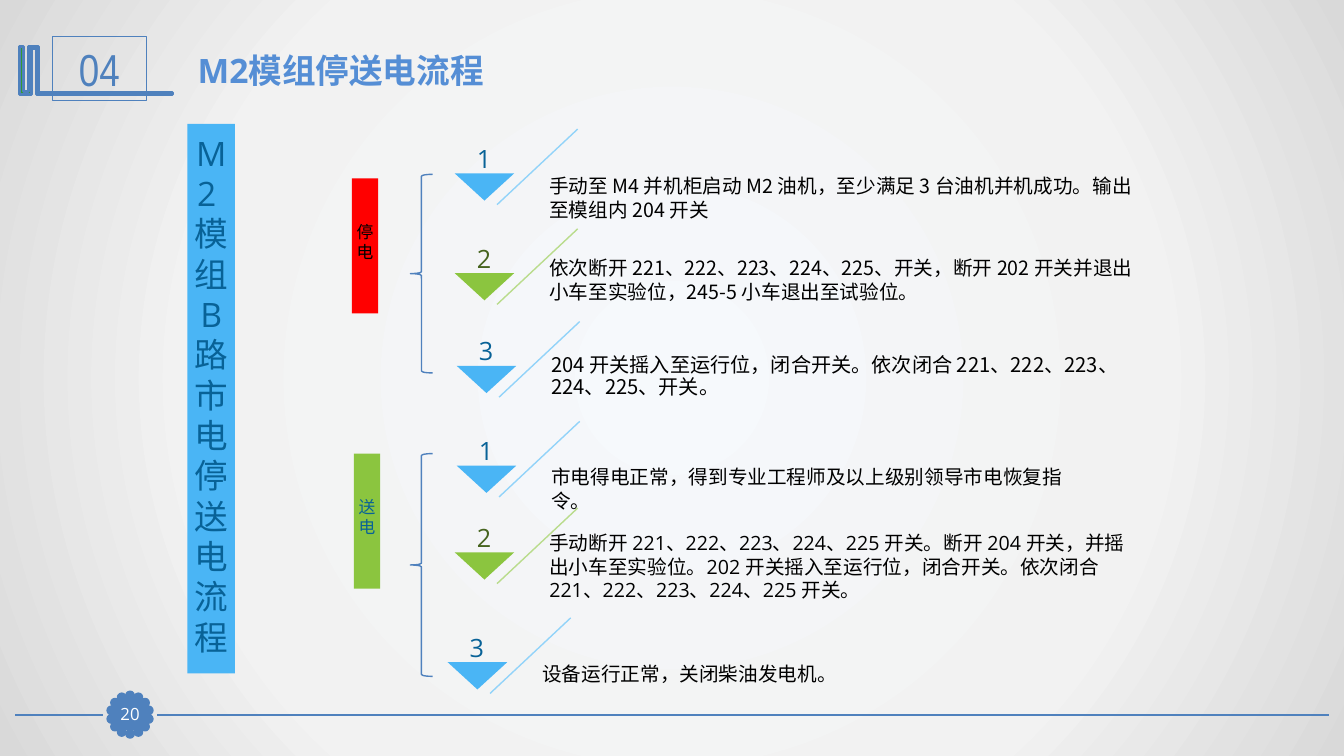
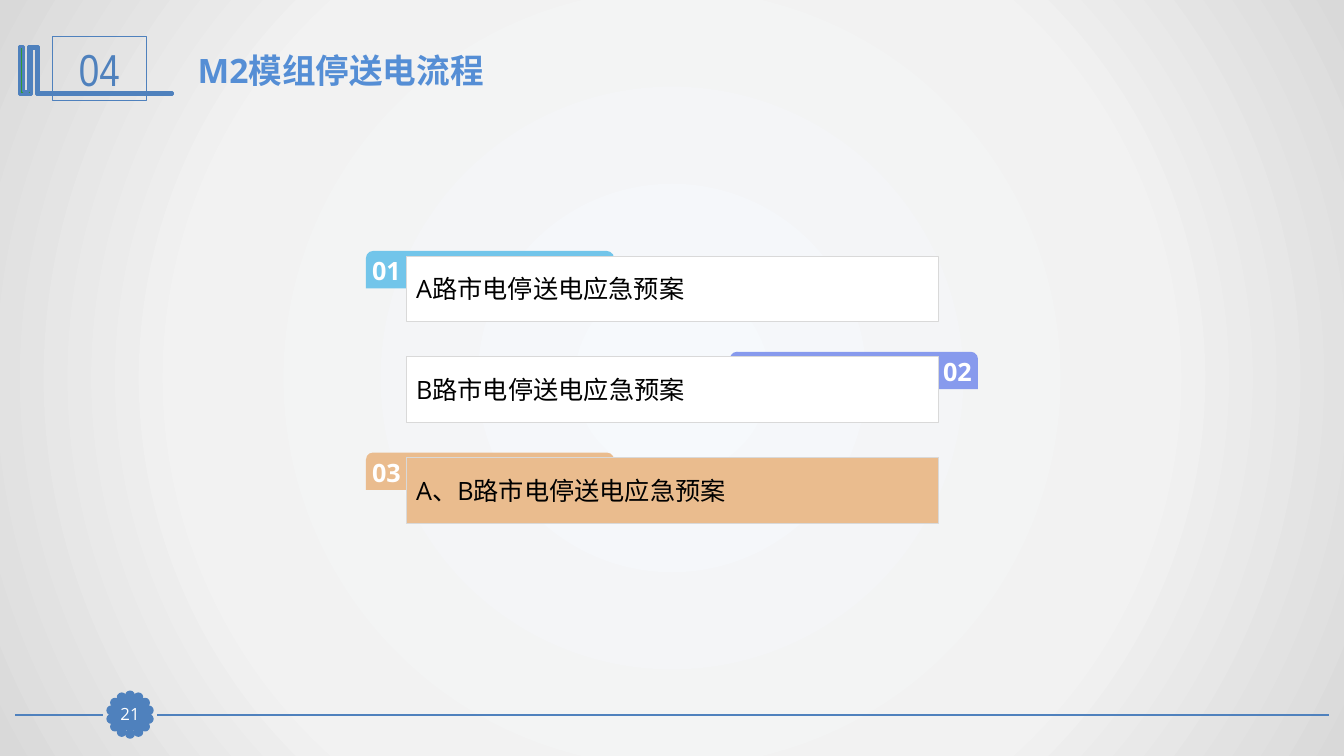
"""Two slides on the power-off and power-on procedure of module M2."""
import math
from dataclasses import dataclass

from lxml import etree
from pptx import Presentation
from pptx.dml.color import RGBColor
from pptx.enum import shapes, text
from pptx.oxml import parse_xml
from pptx.oxml import ns
from pptx.util import Inches, Pt

HUES = {
    "main": "4F81BD", "title": "558ED5", "sky": "4AB5F5", "deep": "086297",
    "pale": "92D3F9", "leaf": "8BC53F", "moss": "46641E", "mint": "B9DC8C",
    "red": "FF0000", "mark": "339933", "black": "000000", "white": "FFFFFF",
    "edge": "D9D9D9", "aqua": "72C5EA", "sand": "EABC8E", "iris": "879AED",
}
GLOW = ((0, "F6F9FC"), (63, "F2F2F2"), (100, "D9D9D9"))
SANS, NOTO, THIN = "Open Sans", "Noto Sans CJK SC", "Arial Narrow"
FORM = shapes.MSO_SHAPE
MID, TOP, LOW = (text.MSO_ANCHOR.MIDDLE, text.MSO_ANCHOR.TOP,
                 text.MSO_ANCHOR.BOTTOM)
LEFT, MIDST, RIGHT, FULL = (text.PP_ALIGN.LEFT, text.PP_ALIGN.CENTER,
                            text.PP_ALIGN.RIGHT, text.PP_ALIGN.JUSTIFY)
PAD = (0.1, 0.05, 0.1, 0.05)
BARE = (0, 0, 0, 0)
HANG = (0, 0, 0, 0.08)


@dataclass
class Style:
    """Look of a block of text."""
    size: float
    hue: str = "black"
    face: str = SANS
    align: text.PP_ALIGN = LEFT
    anchor: text.MSO_ANCHOR = MID
    pad: tuple = PAD
    bold: bool = False
    lead: float | None = None


@dataclass
class Tone:
    """Colours of a step marker."""
    fill: str
    line: str
    num: str


@dataclass
class Step:
    """A numbered step; x and y place its triangle."""
    num: int
    x: float
    y: float
    top: float
    high: float
    lines: tuple
    face: str = SANS
    size: float = 14
    lead: float | None = None


@dataclass
class Phase:
    """A coloured label with the brace beside it."""
    name: str
    x: float
    y: float
    fill: str
    hue: str
    top: float
    high: float


@dataclass
class Plan:
    """An entry of the plan list, with its numbered tab."""
    num: str
    name: str
    tab: str
    fill: str = "white"
    right: bool = False


BLUE, GREEN = Tone("sky", "pale", "deep"), Tone("leaf", "mint", "moss")
STEPS = (
    Step(1, 4.51, 1.72, 1.62, 0.68,
         ("手动至 M4 并机柜启动 M2 油机，至少满足 3 台油机并机成功。输出至模组内 204 开关",), NOTO),
    Step(2, 4.51, 2.71, 2.36, 0.83,
         ("依次断开 221、222、223、224、225、开关，断开 202 开关并退出小车至实验位，"
          "245-5 小车退出至试验位。",), NOTO),
    Step(3, 4.53, 3.63, 3.46, 0.56,
         ("204 开关摇入至运行位，闭合开关。依次闭合 221、222、223、224、225、开关。",),
         NOTO, 14.4, 0.9),
    Step(1, 4.53, 4.62, 4.51, 0.68,
         ("市电得电正常，得到专业工程师及以上级别领导市电恢复指", "令。")),
    Step(2, 4.51, 5.48, 5.19, 0.86,
         ("手动断开 221、222、223、224、225 开关。断开 204 开关，并摇出小车至实验位。"
          "202 开关摇入至运行位，闭合开关。依次闭合 221、222、223、224、225 开关。",)),
    Step(3, 4.44, 6.57, 6.4, 0.56, ("设备运行正常，关闭柴油发电机。",)),
)
PHASES = (
    Phase("停电", 3.49, 1.77, "red", "black", 1.73, 1.97),
    Phase("送电", 3.51, 4.5, "leaf", "deep", 4.5, 2.21),
)
PLANS = (
    Plan("01", "A路市电停送电应急预案", "aqua"),
    Plan("02", "B路市电停送电应急预案", "iris", right=True),
    Plan("03", "A、B路市电停送电应急预案", "sand", "sand"),
)
MARK = ((0.37, 0.46), (0.38, 0.46), (0.38, 0.92), (1.71, 0.92), (1.71, 0.94),
        (0.36, 0.94), (0.36, 0.48), (0.31, 0.48), (0.31, 0.94), (0.19, 0.94),
        (0.19, 0.46), (0.23, 0.46), (0.23, 0.91), (0.28, 0.91), (0.28, 0.46))


def rgb(hue: str) -> RGBColor:
    """Look up a colour by name."""
    return RGBColor.from_string(HUES[hue])


def write(shape, lines: tuple, style: Style) -> None:
    """Fill a shape with styled paragraphs."""
    frame = shape.text_frame
    frame.word_wrap = True
    frame.auto_size = text.MSO_AUTO_SIZE.NONE
    frame.vertical_anchor = style.anchor
    (frame.margin_left, frame.margin_top, frame.margin_right,
     frame.margin_bottom) = map(Inches, style.pad)
    frame.text = "\n".join(lines)
    for para in frame.paragraphs:
        para.alignment = style.align
        if style.lead:
            para.line_spacing = style.lead
        font = para.font
        font.size, font.bold, font.name = Pt(style.size), style.bold, style.face
        font.color.rgb = rgb(style.hue)
        etree.SubElement(font._element, ns.qn("a:ea"), typeface=NOTO)


def paint(shape, fill: str | None, line: str | None, width: float) -> None:
    """Set the fill and outline of a shape."""
    shape.shadow.inherit = False
    if fill:
        shape.fill.solid()
        shape.fill.fore_color.rgb = rgb(fill)
    else:
        shape.fill.background()
    if line:
        shape.line.color.rgb = rgb(line)
        shape.line.width = Pt(width)
    else:
        shape.line.fill.background()


def block(slide, form, box: tuple, fill: str | None = None,
          line: str | None = None, width: float = 0.75):
    """Add a painted preset shape."""
    shape = slide.shapes.add_shape(form, *map(Inches, box))
    paint(shape, fill, line, width)
    return shape


def note(slide, box: tuple, lines: tuple, style: Style) -> None:
    """Add a text box."""
    write(slide.shapes.add_textbox(*map(Inches, box)), lines, style)


def rule(slide, ends: tuple, hue: str, width: float) -> None:
    """Add a straight line without shadow."""
    line = slide.shapes.add_connector(shapes.MSO_CONNECTOR.STRAIGHT,
                                      *map(Inches, ends))
    line.line.color.rgb = rgb(hue)
    line.line.width = Pt(width)
    etree.SubElement(line._element.spPr, ns.qn("a:effectLst"))


def glow(layout) -> None:
    """Give the layout a radial background."""
    stops = "".join(f'<a:gs pos="{pos * 1000}"><a:srgbClr val="{hue}"/></a:gs>'
                    for pos, hue in GLOW)
    layout.background.fill.solid()
    back = layout.element.find(".//" + ns.qn("p:bgPr"))
    back.replace(back[0], parse_xml(
        f'<a:gradFill {ns.nsdecls("a")} rotWithShape="1"><a:gsLst>{stops}'
        '</a:gsLst><a:path path="circle"><a:fillToRect l="50000" t="50000" '
        'r="50000" b="50000"/></a:path></a:gradFill>'))


def trim(slide) -> None:
    """Draw the section mark, footer line and seal."""
    rule(slide, (13.18, 7.09, 1.56, 7.09), "main", 1.25)
    rule(slide, (1.02, 7.09, 0.15, 7.09), "main", 1.25)
    count, ring, dot = 14, 0.19, 0.07
    for i in range(count):
        turn = math.tau * i / count
        x = 1.29 + ring * math.sin(turn) - dot / 2
        y = 7.09 - ring * math.cos(turn) - dot / 2
        block(slide, FORM.OVAL, (x, y, dot, dot), "main", "main", 2)
    first, *rest = [(Inches(x), Inches(y)) for x, y in MARK]
    pen = slide.shapes.build_freeform(*first)
    pen.add_line_segments(rest, close=True)
    paint(pen.convert_to_shape(), "mark", "main", 2)
    box = block(slide, FORM.RECTANGLE, (0.52, 0.36, 0.93, 0.64), None, "main")
    write(box, ("04",), Style(32, "main", THIN, MIDST))


def share(slide, layout) -> None:
    """Set up the layout, moving the shared trim onto it."""
    glow(layout)
    title = layout.placeholders[0]
    title.left, title.top, title.width, title.height = map(
        Inches, (1.86, 0.44, 9.69, 0.5))
    trim(slide)
    for shape in list(slide.shapes):
        if not shape.is_placeholder:
            layout.shapes._spTree.append(shape._element)


def head(slide, page: int) -> None:
    """Write the title and page number."""
    write(slide.shapes.title, ("M2模组停送电流程",),
          Style(24, "title", anchor=TOP, bold=True))
    seal = block(slide, FORM.RECTANGLE, (1.13, 6.93, 0.32, 0.31), "main", "main")
    write(seal, (str(page),), Style(12, "white", align=MIDST, pad=BARE))


def step(slide, item: Step) -> None:
    """Draw a step: slash, triangle, text and number."""
    tone = GREEN if item.num == 2 else BLUE
    x, y = item.x, item.y
    rule(slide, (x + 1.22, y - 0.44, x + 0.42, y + 0.31), tone.line, 1)
    block(slide, FORM.FLOWCHART_MERGE, (x, y, 0.59, 0.27), tone.fill)
    note(slide, (x + 0.84, item.top, 6.07, item.high), item.lines,
         Style(item.size, face=item.face, lead=item.lead))
    note(slide, (x - 0.02, y - 0.6, 0.62, 0.6), (str(item.num),),
         Style(18, tone.num, align=MIDST, anchor=LOW, pad=BARE))


def phase(slide, item: Phase) -> None:
    """Draw a phase label and its brace."""
    label = block(slide, FORM.RECTANGLE, (item.x, item.y, 0.26, 1.34), item.fill)
    write(label, (item.name,), Style(12, item.hue, align=MIDST, pad=HANG))
    block(slide, FORM.LEFT_BRACE, (4.07, item.top, 0.22, item.high),
          None, "main", 1)


def plan(slide, row: int, item: Plan) -> None:
    """Draw a plan card over its tab."""
    y = 2.49 + row
    tab = block(slide, FORM.ROUND_2_SAME_RECTANGLE,
                (7.24 if item.right else 3.63, y, 2.46, 0.37), item.tab)
    tab.adjustments[0] = 0.19
    pad = (0.1, 0, 0.04, 0) if item.right else (0.04, 0, 0.1, 0)
    write(tab, (item.num,), Style(18, "white", pad=pad, bold=True,
                                  align=RIGHT if item.right else FULL))
    card = block(slide, FORM.RECTANGLE, (4.03, y + 0.05, 5.28, 0.65),
                 item.fill, "edge")
    write(card, (item.name,), Style(18, align=FULL))


def main() -> None:
    """Build and save the deck."""
    deck = Presentation()
    deck.slide_width, deck.slide_height = Inches(13.33), Inches(7.5)
    layout = deck.slide_layouts[5]
    flow, plans = (deck.slides.add_slide(layout) for _ in range(2))
    share(flow, layout)
    for page, slide in enumerate((flow, plans), 20):
        head(slide, page)

    banner = block(flow, FORM.RECTANGLE, (1.86, 1.23, 0.47, 5.45), "sky")
    write(banner, ("M2 ", "模组 B 路市电停送电流程"),
          Style(24, "deep", align=MIDST, pad=HANG))
    for item in PHASES:
        phase(flow, item)
    for item in STEPS:
        step(flow, item)

    for row, item in enumerate(PLANS):
        plan(plans, row, item)
    deck.save("out.pptx")


main()
